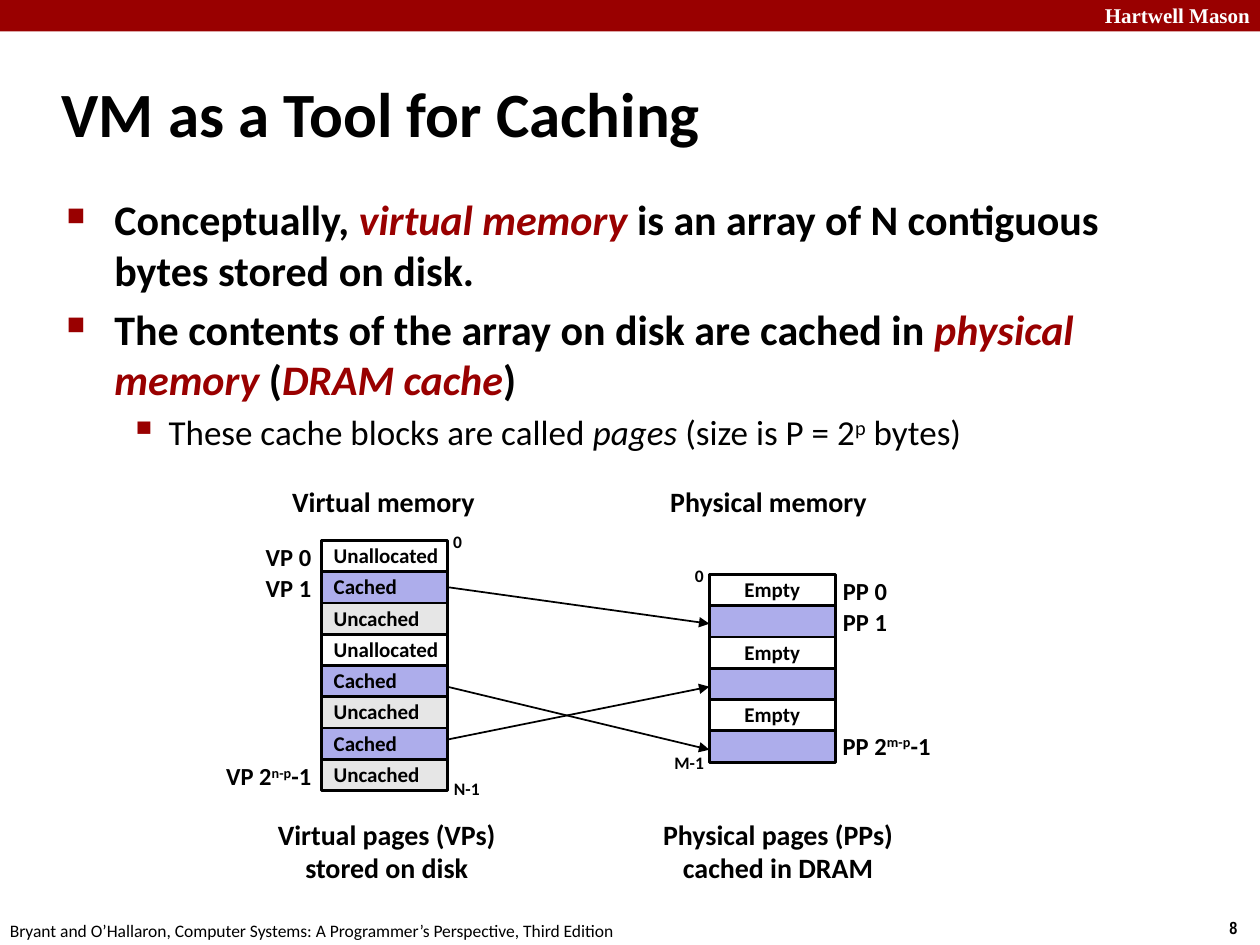
"""Build the slide on virtual memory as a tool for caching."""
from lxml.etree import SubElement
from pptx import Presentation
from pptx.dml.color import RGBColor
from pptx.enum.shapes import MSO_CONNECTOR, MSO_SHAPE
from pptx.enum.text import MSO_ANCHOR, MSO_AUTO_SIZE, PP_ALIGN
from pptx.oxml.ns import qn
from pptx.util import Inches, Pt

COLORS = {"red": "990000", "black": "000000", "white": "FFFFFF",
          "cached": "ADADEB", "uncached": "E6E6E6"}
FILLS = {"Unallocated": "white", "Empty": "white", "Cached": "cached",
         "": "cached", "Uncached": "uncached"}
ALIGN = {"l": PP_ALIGN.LEFT, "c": PP_ALIGN.CENTER, "r": PP_ALIGN.RIGHT}
STYLES = {"plain": {}, "key": {"italic": True, "color": "red"},
          "italic": {"italic": True}, "sup": {"baseline": 30000}}

HEADER = "Hartwell Mason"
TITLE = "VM as a Tool for Caching"
FOOTER = ("Bryant and O’Hallaron, Computer Systems: "
          "A Programmer’s Perspective, Third Edition")
TOP = {"size": 24, "bold": True, "char": "■", "scale": 60,
       "left": 0.38, "hang": 0.38}
SUB = {"size": 20, "bold": False, "char": "▪", "scale": 110,
       "left": 0.81, "hang": 0.31}
BULLETS = [
    (TOP, [("Conceptually,", "plain"), (" virtual memory ", "key"),
           ("is an array of N contiguous bytes stored on disk.", "plain")]),
    (TOP, [("The contents of the array on disk are cached in ", "plain"),
           ("physical memory", "key"), (" (", "plain"),
           ("DRAM cache", "key"), (")", "plain")]),
    (SUB, [("These cache blocks are called ", "plain"), ("pages ", "italic"),
           ("(size is P = 2", "plain"), ("p", "sup"), (" bytes)", "plain")]),
]

ROW_H, PITCH, COL_W = 0.25, 0.248, 1
VIRTUAL_X, PHYSICAL_X = 2.55, 5.63
STACKS = [
    (VIRTUAL_X, 4.29, "l", ["Unallocated", "Cached", "Uncached", "Unallocated",
                            "Cached", "Uncached", "Cached", "Uncached"]),
    (PHYSICAL_X, 4.56, "c", ["Empty", "", "Empty", "", "Empty", ""]),
]
ARROWS = [(4.66, 4.95), (5.45, 5.95), (5.87, 5.45)]

HEADING = {"size": 16, "spacing": 0.88, "before": 6, "align": "c"}
VP = {"size": 14, "spacing": 0.88, "before": 6, "align": "r"}
PP = {"size": 14, "spacing": 0.98, "align": "c", "anchor": MSO_ANCHOR.MIDDLE}
ADDRESS = {**PP, "size": 10}
CAPTION = {**PP, "size": 16}
LABELS = [
    (["Virtual memory"], (2.21, 3.83, 1.67, 0.33), HEADING),
    (["Physical memory"], (5.21, 3.83, 1.78, 0.33), HEADING),
    (["VP 0"], (2.01, 4.28, 0.56, 0.31), VP),
    (["VP 1"], (2.01, 4.53, 0.56, 0.31), VP),
    ([[("VP 2", "plain"), ("n-p", "sup"), ("-1", "plain")]],
     (1.67, 6.02, 0.9, 0.31), VP),
    (["PP 0"], (6.59, 4.53, 0.55, 0.33), PP),
    (["PP 1"], (6.59, 4.78, 0.55, 0.33), PP),
    ([[("PP 2", "plain"), ("m-p", "sup"), ("-1", "plain")]],
     (6.59, 5.78, 0.93, 0.31), {**VP, "align": "l"}),
    (["0"], (3.49, 4.17, 0.28, 0.27), ADDRESS),
    (["N-1"], (3.5, 6.13, 0.41, 0.27), ADDRESS),
    (["0"], (5.41, 4.44, 0.28, 0.27), ADDRESS),
    (["M-1"], (5.25, 5.92, 0.44, 0.27), ADDRESS),
    (["Virtual pages (VPs)", "stored on disk"], (2.09, 6.45, 1.96, 0.63), CAPTION),
    (["Physical pages (PPs)", "cached in DRAM"], (5.15, 6.45, 2.05, 0.63), CAPTION),
]


def rgb(name):
    """Return the named colour."""
    return RGBColor.from_string(COLORS[name])


def write(p, text, size, bold=True, font="Calibri", color="black", align="l",
          spacing=None, before=0):
    """Fill a paragraph with a string or a list of styled runs."""
    p.alignment, p.line_spacing, p.space_before = ALIGN[align], spacing, Pt(before)
    for words, style in [(text, "plain")] if isinstance(text, str) else text:
        r = p.add_run()
        r.text = words
        look = {"name": font, "size": Pt(size), "bold": bold, **STYLES[style]}
        r.font.color.rgb = rgb(look.pop("color", color))
        if "baseline" in look:
            r._r.get_or_add_rPr().set("baseline", str(look.pop("baseline")))
        for name, value in look.items():
            setattr(r.font, name, value)


def add_text(paras, box, wrap=False, anchor=MSO_ANCHOR.TOP, **fmt):
    """Add a text box with one paragraph per item."""
    tf = slide.shapes.add_textbox(*map(Inches, box)).text_frame
    tf.word_wrap, tf.vertical_anchor = wrap, anchor
    tf.auto_size = MSO_AUTO_SIZE.NONE if wrap else MSO_AUTO_SIZE.SHAPE_TO_FIT_TEXT
    for i, text in enumerate(paras):
        write(tf.add_paragraph() if i else tf.paragraphs[0], text, **fmt)
    return tf


def add_rect(box, fill, line=None):
    """Add a plain rectangle."""
    sp = slide.shapes.add_shape(MSO_SHAPE.RECTANGLE, *map(Inches, box))
    sp.shadow.inherit = False
    sp.fill.solid()
    sp.fill.fore_color.rgb = rgb(fill)
    if line:
        sp.line.color.rgb, sp.line.width = rgb("black"), Pt(line)
    else:
        sp.line.fill.background()
    return sp


def add_bullet(p, level):
    """Give a paragraph its hanging bullet."""
    pPr = p._p.get_or_add_pPr()
    pPr.set("marL", str(Inches(level["left"])))
    pPr.set("indent", str(-Inches(level["hang"])))
    SubElement(SubElement(pPr, qn("a:buClr")), qn("a:srgbClr"), val=COLORS["red"])
    SubElement(pPr, qn("a:buSzPct"), val=str(level["scale"] * 1000))
    SubElement(pPr, qn("a:buChar"), char=level["char"])


def add_arrow(y1, y2):
    """Link a virtual page to a physical page."""
    cx = slide.shapes.add_connector(MSO_CONNECTOR.STRAIGHT, *map(
        Inches, (VIRTUAL_X + COL_W, y1, PHYSICAL_X, y2)))
    cx.line.color.rgb, cx.line.width = rgb("black"), Pt(1)
    SubElement(cx.line._get_or_add_ln(), qn("a:tailEnd"), type="triangle")
    SubElement(cx._element.spPr, qn("a:effectLst"))


prs = Presentation()
prs.slide_width, prs.slide_height = Inches(10), Inches(7.5)
slide = prs.slides.add_slide(prs.slide_layouts[6])

add_rect((0, 0, 10, 0.25), "red")
add_text([HEADER], (8.64, -0.03, 1.38, 0.3), size=12, font="Times New Roman",
         color="white", align="r")
add_text(["8"], (9.66, 7.23, 0.34, 0.27), size=10, font="Arial Narrow")
add_text([FOOTER], (-0.02, 7.25, 5.08, 0.27), size=10, bold=False)
add_text([TITLE], (0.39, 0.48, 8.3, 0.83), wrap=True, anchor=MSO_ANCHOR.MIDDLE, size=36)

body = add_text([], (0.43, 1.49, 8.64, 2.26), wrap=True)
for i, (level, runs) in enumerate(BULLETS):
    p = body.add_paragraph() if i else body.paragraphs[0]
    write(p, runs, level["size"], level["bold"], before=level["size"] * 0.2)
    add_bullet(p, level)

for left, top, align, pages in STACKS:
    for row, page in enumerate(pages):
        sp = add_rect((left, top + row * PITCH, COL_W, ROW_H), FILLS[page], 1.5)
        if page:
            tf = sp.text_frame
            tf.word_wrap, tf.vertical_anchor = False, MSO_ANCHOR.MIDDLE
            write(tf.paragraphs[0], page, 12, align=align, spacing=0.98)

for ends in ARROWS:
    add_arrow(*ends)
for paras, box, fmt in LABELS:
    add_text(paras, box, **fmt)

prs.save("out.pptx")
